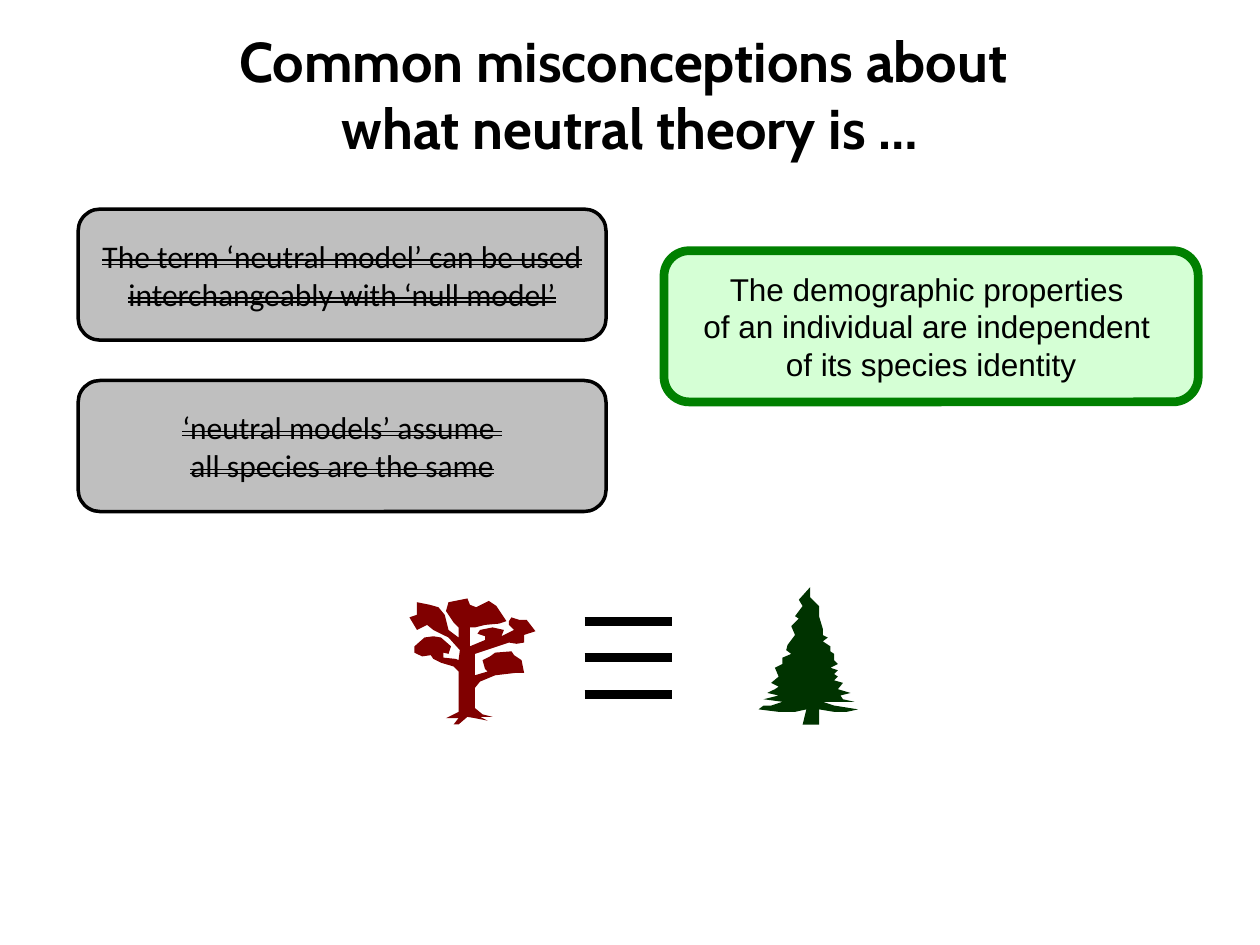
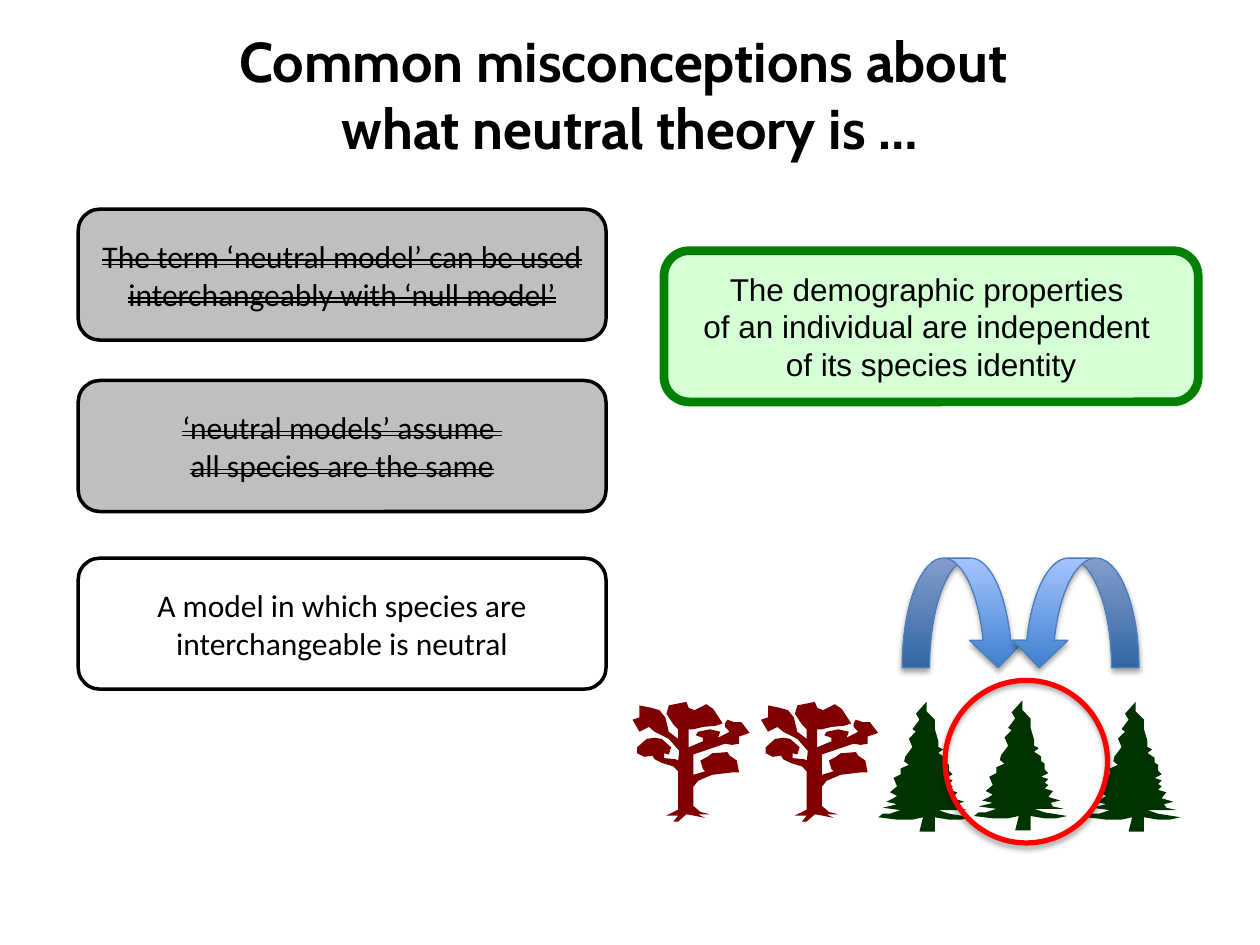
from lxml import etree
from pptx import Presentation
from pptx.dml.color import RGBColor
from pptx.enum import shapes, text
from pptx.oxml.ns import qn
from pptx.util import Inches, Pt

COLORS = {
    "ink": "000000", "paper": "FFFFFF", "rejected": "BFBFBF",
    "mint": "CCFFCC", "green": "008000", "broadleaf": "800000",
    "pine": "003300", "ring": "FF0000", "arrow_dark": "3F80CE",
    "arrow_light": "A4C4FF", "arrow_edge": "4B7EBC",
}

BROADLEAF = [
    (29, 95), (39, 90), (39, 58), (35, 54), (25, 51), (19, 48), (17, 45),
    (10, 46), (4, 43), (4, 38), (12, 31), (19, 30), (25, 31), (33, 38),
    (31, 44), (27, 43), (27, 47), (37, 48), (39, 49), (40, 41), (31, 31),
    (19, 25), (14, 21), (6, 25), (0, 15), (6, 13), (6, 3), (16, 5), (23, 7),
    (28, 13), (31, 25), (39, 31), (39, 23), (35, 19), (29, 10), (31, 3),
    (46, 0), (48, 5), (53, 7), (63, 2), (69, 6), (77, 18), (71, 20),
    (60, 21), (52, 23), (48, 23), (48, 38), (60, 33), (60, 30), (54, 28),
    (56, 25), (66, 23), (75, 25), (73, 30), (83, 25), (79, 21), (79, 18),
    (81, 15), (87, 17), (93, 17), (100, 26), (91, 29), (91, 35), (85, 36),
    (79, 35), (52, 44), (52, 61), (62, 58), (60, 56), (58, 49), (64, 46),
    (68, 43), (81, 42), (83, 45), (89, 49), (91, 59), (85, 59), (68, 61),
    (56, 66), (52, 71), (52, 87), (58, 92), (66, 94), (56, 94), (62, 97),
    (52, 95), (46, 94), (39, 100), (35, 100), (39, 95),
]
PINE = [
    (41, 0), (32, 10), (35, 15), (29, 23), (32, 25), (26, 31), (29, 38),
    (23, 46), (22, 50), (26, 53), (19, 56), (19, 61), (13, 64), (16, 71),
    (10, 76), (16, 79), (13, 81), (7, 84), (16, 86), (4, 89), (19, 91),
    (10, 94), (4, 94), (0, 97), (16, 99), (29, 99), (38, 97), (35, 109),
    (48, 109), (48, 97), (60, 99), (70, 99), (79, 97), (60, 94), (51, 91),
    (76, 91), (67, 89), (65, 86), (73, 84), (63, 81), (67, 76), (60, 74),
    (63, 71), (60, 69), (63, 66), (57, 64), (63, 61), (60, 58), (60, 53),
    (57, 51), (57, 47), (51, 43), (55, 40), (51, 38), (51, 33), (48, 23),
    (48, 15), (41, 8),
]

TITLE = ["Common misconceptions about ", "what neutral theory is …"]
NULL_MODEL = ["The term ‘neutral model’ can be used interchangeably with ‘null model’"]
SAME_SPECIES = ["‘neutral models’ assume ", "all species are the same"]
INTERCHANGEABLE = ["A model in which species are interchangeable is neutral"]
DEFINITION = ["The demographic properties ", "of an individual are independent ",
              "of its species identity"]


def rgb(name):
    return RGBColor.from_string(COLORS[name])


class Deck:
    def __init__(self):
        self.prs = Presentation()
        self.prs.slide_width, self.prs.slide_height = Inches(10), Inches(7.5)
        self.s = None

    def slide(self):
        self.s = self.prs.slides.add_slide(self.prs.slide_layouts[6])
        self.title()
        self.claim(1.66, NULL_MODEL, rejected=True)

    def add_lines(self, tf, lines, font, size, bold=False, strike=False):
        tf.word_wrap = True
        for i, line in enumerate(lines):
            p = tf.add_paragraph() if i else tf.paragraphs[0]
            p.alignment = text.PP_ALIGN.CENTER
            p.font.name, p.font.size, p.font.bold = font, Pt(size), bold
            p.font.color.rgb = rgb("ink")
            r = p.add_run()
            r.text = line
            if strike:
                r._r.get_or_add_rPr().set("strike", "dblStrike")

    def title(self):
        sp = self.s.shapes.add_textbox(0, Inches(0.16), Inches(10), Inches(1.85))
        self.add_lines(sp.text_frame, TITLE, "Cabin", 32, bold=True)

    def shape(self, kind, box, line, width, fill=None):
        sp = self.s.shapes.add_shape(kind, *map(Inches, box))
        sp.shadow.inherit = False
        sp.line.color.rgb = rgb(line)
        sp.line.width = Pt(width)
        if fill:
            sp.fill.solid()
            sp.fill.fore_color.rgb = rgb(fill)
        else:
            sp.fill.background()
        return sp

    def card(self, box, lines, font, line, width, fill, strike=False):
        sp = self.shape(shapes.MSO_SHAPE.ROUNDED_RECTANGLE, box, line, width, fill)
        sp.text_frame.vertical_anchor = text.MSO_ANCHOR.MIDDLE
        self.add_lines(sp.text_frame, lines, font, 18, strike=strike)
        return sp

    def claim(self, y, lines, rejected=False):
        fill = "rejected" if rejected else "paper"
        self.card((0.62, y, 4.19, 1.04), lines, "Calibri", "ink", 2, fill, rejected)

    def definition(self):
        sp = self.card((5.27, 1.99, 4.24, 1.2), DEFINITION, "Arial", "green", 5, "mint")
        color = sp._element.spPr.find(qn("a:solidFill"))[0]
        etree.SubElement(color, qn("a:alpha")).set("val", "82000")

    def cast_shadow(self, sp):
        effects = sp._element.spPr.find(qn("a:effectLst"))
        shadow = etree.SubElement(effects, qn("a:outerShdw"), blurRad="40000",
                                  dist="23000", dir="5400000", rotWithShape="0")
        color = etree.SubElement(shadow, qn("a:srgbClr"), val=COLORS["ink"])
        etree.SubElement(color, qn("a:alpha"), val="35000")

    def tree(self, outline, color, box):
        fb = self.s.shapes.build_freeform(*outline[0], scale=Inches(0.01))
        fb.add_line_segments(outline[1:], close=True)
        sp = fb.convert_to_shape()
        sp.left, sp.top, sp.width, sp.height = map(Inches, box)
        sp.shadow.inherit = False
        sp.fill.solid()
        sp.fill.fore_color.rgb = rgb(color)
        sp.line.fill.background()

    def bar(self, x1, x2, y):
        c = self.s.shapes.add_connector(shapes.MSO_CONNECTOR.STRAIGHT,
                                        *map(Inches, (x1, y, x2, y)))
        c.line.color.rgb = rgb("ink")
        c.line.width = Pt(5)
        etree.SubElement(c._element.spPr, qn("a:effectLst"))

    def ring(self, box):
        self.cast_shadow(self.shape(shapes.MSO_SHAPE.OVAL, box, "ring", 3))

    def swap_arrow(self, box, flip=False):
        sp = self.shape(shapes.MSO_SHAPE.CURVED_DOWN_ARROW, box, "arrow_edge", 0.75)
        sp.fill.gradient()
        sp.fill.gradient_angle = 90
        for stop, name in zip(sp.fill.gradient_stops, ("arrow_dark", "arrow_light")):
            stop.color.rgb = rgb(name)
        if flip:
            sp._element.spPr.get_or_add_xfrm().set("flipH", "1")
        self.cast_shadow(sp)


def main():
    deck = Deck()

    deck.slide()
    deck.tree(BROADLEAF, "broadleaf", (3.25, 4.75, 1, 1))
    deck.tree(PINE, "pine", (6.02, 4.66, 0.79, 1.09))
    for i in range(3):
        deck.bar(4.64, 5.33, 4.93 + 0.29 * i)
    deck.claim(3.02, SAME_SPECIES, rejected=True)
    deck.definition()

    deck.slide()
    deck.claim(4.43, INTERCHANGEABLE)
    for x in (5.02, 6.04):
        deck.tree(BROADLEAF, "broadleaf", (x, 5.57, 0.93, 0.95))
    for x in (8.63, 6.97):
        deck.tree(PINE, "pine", (x, 5.57, 0.74, 1.03))
    deck.ring((7.5, 5.4, 1.29, 1.29))
    deck.tree(PINE, "pine", (7.73, 5.56, 0.74, 1.03))
    deck.swap_arrow((7.16, 4.43, 0.98, 0.87))
    deck.swap_arrow((8.03, 4.43, 1.01, 0.87), flip=True)
    deck.claim(3.02, SAME_SPECIES, rejected=True)
    deck.definition()

    deck.prs.save("out.pptx")


if __name__ == "__main__":
    main()
